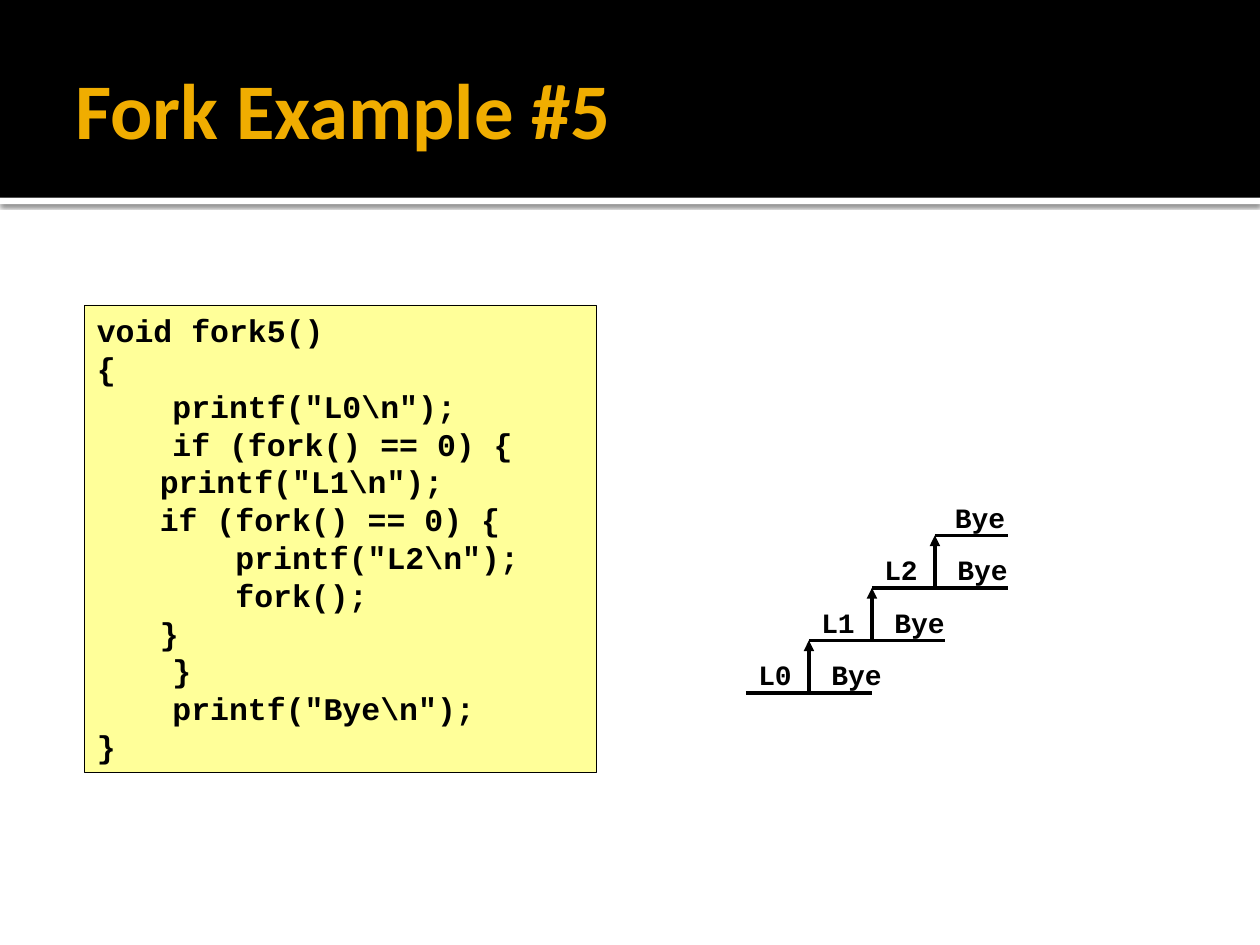
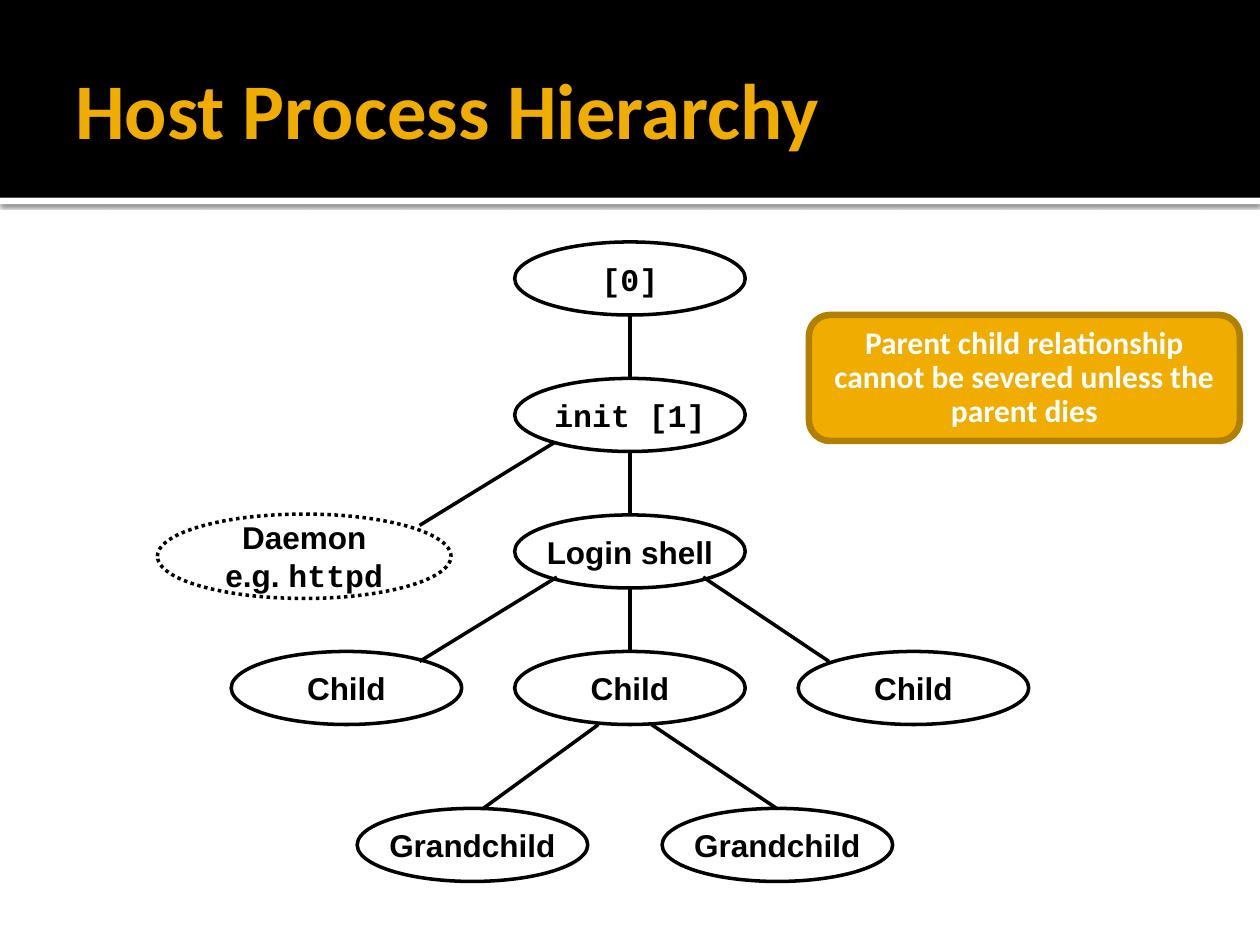
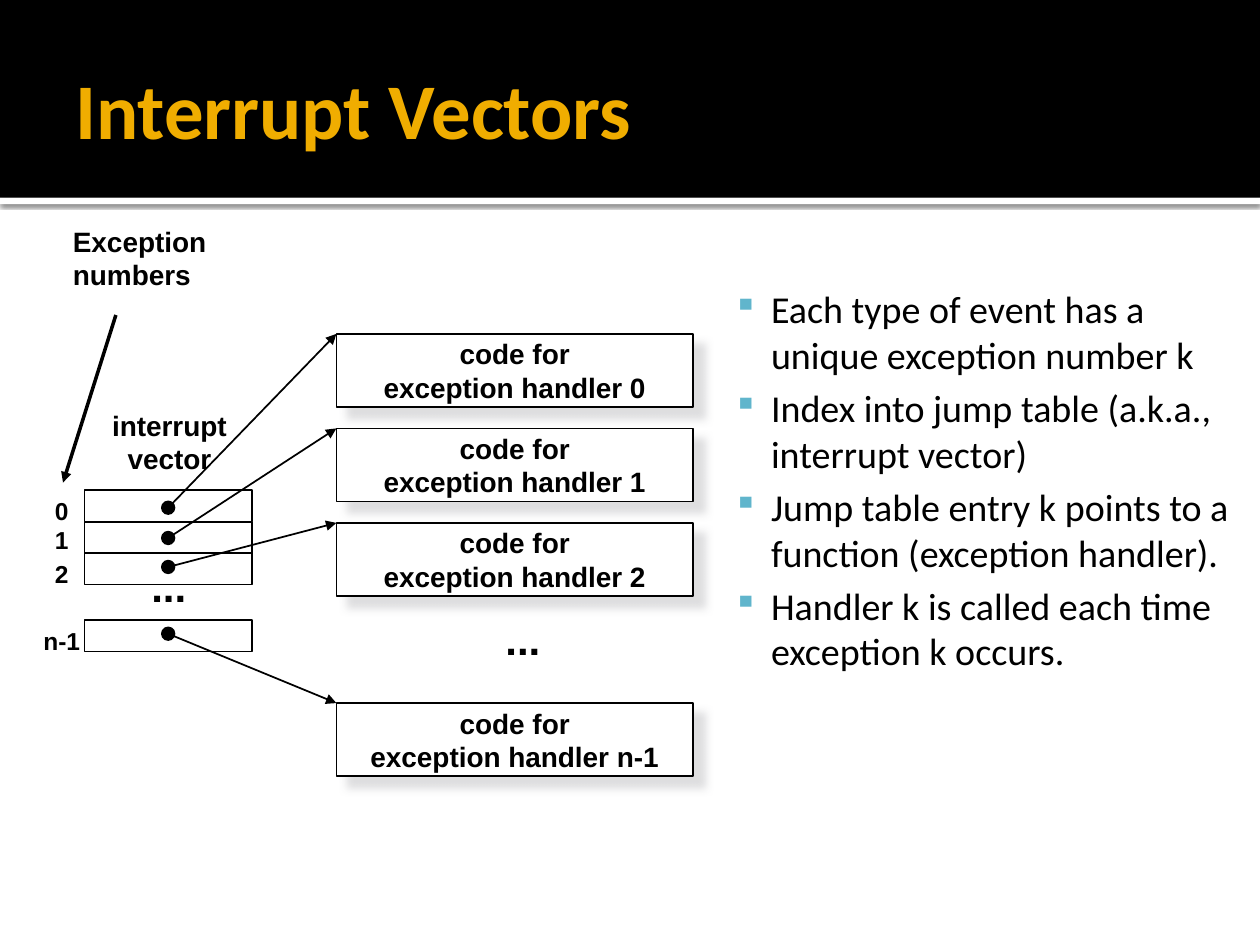
"""Build three operating-systems slides: forking, process hierarchy and interrupt vectors."""
from dataclasses import dataclass

from lxml import etree
from pptx import Presentation
from pptx import util as u
from pptx.dml.color import RGBColor
from pptx.enum import dml, shapes, text
from pptx.oxml.ns import qn


@dataclass(frozen=True)
class Theme:
    sans: str = "Arial"
    mono: str = "Courier New"
    body: str = "Calibri"
    black: str = "000000"
    white: str = "FFFFFF"
    gold: str = "F0AD00"
    dark_gold: str = "B28000"
    code_fill: str = "FFFF99"
    bullet: str = "60B5CC"
    soft_shadow: str = "D4D4D6"
    title_size: float = 45
    body_size: float = 21.7
    dots_size: float = 24
    node_size: float = 18
    label_size: float = 16
    index_size: float = 14


T = Theme()
W, H = 10, 7.5
CENTER, LEFT = text.PP_ALIGN.CENTER, text.PP_ALIGN.LEFT
RECT, OVAL = shapes.MSO_SHAPE.RECTANGLE, shapes.MSO_SHAPE.OVAL
ROUND = shapes.MSO_SHAPE.ROUNDED_RECTANGLE

FORK_CODE = r"""void fork5()
{
    printf("L0\n");
    if (fork() == 0) {
<TAB>printf("L1\n");
<TAB>if (fork() == 0) {
<TAB>    printf("L2\n");
<TAB>    fork();
<TAB>}
    }
    printf("Bye\n");
}""".replace("<TAB>", "\t").split("\n")
FORK_STEPS = [("L0", 0.5), ("L1", 0.58), ("L2", 0.58)]

BACK_NODES = [("Login shell", T.sans, 5, 2), ("Child", T.sans, 7.25, 3),
              ("Child", T.sans, 5, 3), ("Child", T.sans, 2.75, 3),
              ("Grandchild", T.sans, 6.17, 4.15), ("Grandchild", T.sans, 3.75, 4.15),
              ("[0]", T.mono, 5, 0)]
FRONT_NODES = [("init [1]", T.mono, 5, 1)]
SLANTED_LINKS = [(4.42, 4.58, 3.33, 5.25), (5.58, 4.58, 6.58, 5.25),
                 (5.17, 5.75, 6.17, 6.42), (4.75, 5.75, 3.83, 6.42),
                 (4.42, 3.5, 3.33, 4.17)]
PARENT_NOTE = "Parent child relationship cannot be severed unless the parent dies"

VECTOR_ENTRIES = [("0", 3.89, 4.05, 4.03, 2.65), ("1", 4.14, 4.28, 4.27, 3.4),
                  ("2", 4.39, 4.55, 4.5, 4.15), ("n-1", 4.92, 5.08, 5.03, 5.58)]
VECTOR_POINTS = ["Each type of event has a unique exception number k",
                 "Index into jump table (a.k.a., interrupt vector)",
                 "Jump table entry k points to a function (exception handler).",
                 "Handler k is called each time exception k occurs."]


def inches(*values):
    return [u.Inches(v) for v in values]


def style_run(r, font, size, color, bold):
    r.font.name, r.font.size, r.font.bold = font, u.Pt(size), bold
    r.font.color.rgb = RGBColor.from_string(color)


def write(sp, lines, font, size, color=T.black, bold=True, align=CENTER, wrap=False,
          anchor=text.MSO_ANCHOR.MIDDLE):
    tf = sp.text_frame
    tf.word_wrap, tf.vertical_anchor = wrap, anchor
    for i, line in enumerate(lines):
        p = tf.paragraphs[0] if i == 0 else tf.add_paragraph()
        p.text, p.alignment = line, align
        for r in p.runs:
            style_run(r, font, size, color, bold)
    return tf


def shape(s, kind, box, fill=T.white, line=T.black, width=1, shadow=None):
    sp = s.shapes.add_shape(kind, *inches(*box))
    sp.fill.solid()
    sp.fill.fore_color.rgb = RGBColor.from_string(fill)
    if line:
        sp.line.color.rgb = RGBColor.from_string(line)
        sp.line.width = u.Pt(width)
    else:
        sp.line.fill.background()
    sp.shadow.inherit = False
    if shadow:
        color, alpha, blur, dist, angle = shadow
        effects = sp._element.spPr.find(qn("a:effectLst"))
        outer = etree.SubElement(effects, qn("a:outerShdw"), blurRad=str(u.Pt(blur)),
                                 dist=str(u.Pt(dist)), dir=str(angle * 60000),
                                 algn="tl", rotWithShape="0")
        tint = etree.SubElement(outer, qn("a:srgbClr"), val=color)
        etree.SubElement(tint, qn("a:alpha"), val=str(alpha * 1000))
    return sp


def line(s, x1, y1, x2, y2, width=2, arrow=False):
    cx = s.shapes.add_connector(shapes.MSO_CONNECTOR.STRAIGHT, *inches(x1, y1, x2, y2))
    cx.line.color.rgb = RGBColor.from_string(T.black)
    cx.line.width = u.Pt(width)
    sp_pr = cx._element.spPr
    if arrow:
        etree.SubElement(sp_pr.find(qn("a:ln")), qn("a:tailEnd"), type="triangle")
    etree.SubElement(sp_pr, qn("a:effectLst"))


def label(s, box, lines, font=T.sans, size=T.label_size, align=CENTER,
          anchor=text.MSO_ANCHOR.TOP):
    sp = s.shapes.add_textbox(*inches(*box))
    write(sp, lines, font, size, align=align, anchor=anchor)
    sp.text_frame.auto_size = text.MSO_AUTO_SIZE.SHAPE_TO_FIT_TEXT


def new_slide(prs, title):
    s = prs.slides.add_slide(prs.slide_layouts[6])
    band = 1.57
    shape(s, RECT, (0, band, W, 0.05), line=None, shadow=(T.black, 60, 2.5, 0.8, 90))
    shape(s, RECT, (0, 0, W, band), fill=T.black, line=None)
    sp = s.shapes.add_textbox(*inches(0.5, 0.17, 9, 1.37))
    tf = write(sp, [title], T.body, T.title_size, T.gold, align=LEFT, wrap=True)
    tf.margin_right = u.Inches(0.05)
    return s


def fork_slide(prs):
    s = new_slide(prs, "Fork Example #5")
    sp = shape(s, RECT, (0.67, 2.42, 4.06, 3.71), fill=T.code_fill, width=0.25)
    write(sp, FORK_CODE, T.mono, T.node_size, align=LEFT, anchor=text.MSO_ANCHOR.TOP)
    x, y, step, rise, lift = 5.92, 5.5, 0.5, 1.25 / 3, 0.33
    for name, tail in FORK_STEPS:
        fork_x = x + step
        line(s, x, y, fork_x, y)
        line(s, fork_x, y, fork_x + tail, y)
        line(s, fork_x, y, fork_x, y - rise, arrow=True)
        label(s, (x, y - lift, 0.47, 0.37), [name], T.mono, align=LEFT)
        label(s, (fork_x + 0.08, y - lift, 0.6, 0.37), ["Bye"], T.mono, align=LEFT)
        x, y = fork_x, y - rise
    line(s, x, y, x + 0.58, y)
    label(s, (x + 0.06, y - lift, 0.6, 0.37), ["Bye"], T.mono, align=LEFT)


def hierarchy_slide(prs):
    s = new_slide(prs, "Host Process Hierarchy")
    top, pitch, node_w, node_h = 1.92, 3.25 / 3, 1.83, 0.58

    def add_nodes(nodes):
        for name, font, center, row in nodes:
            box = (center - node_w / 2, top + row * pitch, node_w, node_h)
            write(shape(s, OVAL, box, width=2), [name], font, T.node_size)

    add_nodes(BACK_NODES)
    for row in range(3):
        line(s, W / 2, top + row * pitch + node_h, W / 2, top + (row + 1) * pitch)
    for link in SLANTED_LINKS:
        line(s, *link)
    daemon = shape(s, OVAL, (1.25, 4.08, 2.33, 0.67), width=2)
    daemon.line.dash_style = dml.MSO_LINE.ROUND_DOT
    tf = write(daemon, ["Daemon", "e.g. "], T.sans, T.node_size)
    r = tf.paragraphs[1].add_run()
    r.text = "httpd"
    style_run(r, T.mono, T.node_size, T.black, True)
    add_nodes(FRONT_NODES)
    note = shape(s, ROUND, (6.42, 2.5, 3.42, 1), T.gold, T.dark_gold, 3.78)
    tf = write(note, [PARENT_NOTE], T.body, T.node_size, T.white, wrap=True)
    tf.paragraphs[0].line_spacing = 0.9


def add_bullets(s, box, points):
    sp = s.shapes.add_textbox(*inches(*box))
    tf = write(sp, points, T.body, T.body_size, bold=False, align=LEFT, wrap=True,
               anchor=text.MSO_ANCHOR.TOP)
    tf.margin_left, tf.margin_top = inches(0.06, 0.1)
    for i, p in enumerate(tf.paragraphs):
        if i:
            p.space_before = u.Pt(T.body_size * 0.2)
        p_pr = p._p.get_or_add_pPr()
        p_pr.set("marL", str(u.Inches(0.8)))
        p_pr.set("indent", str(u.Inches(-0.3)))
        color = etree.SubElement(p_pr, qn("a:buClr"))
        etree.SubElement(color, qn("a:srgbClr"), val=T.bullet)
        etree.SubElement(p_pr, qn("a:buSzPct"), val="90000")
        etree.SubElement(p_pr, qn("a:buChar"), char="▪")


def vector_slide(prs):
    s = new_slide(prs, "Interrupt Vectors")
    middle = text.MSO_ANCHOR.MIDDLE
    cell_x, cell_w, handler_x, dot = 0.67, 1.33, 2.67, 0.1
    dot_x = cell_x + cell_w / 2
    add_bullets(s, (5.26, 2.17, 4.74, 2.83), VECTOR_POINTS)
    label(s, (0.79, 3.19, 1.11, 0.63), ["interrupt", "vector"])
    for number, cell_y, number_y, dot_y, handler_y in VECTOR_ENTRIES:
        shape(s, RECT, (cell_x, cell_y, cell_w, 0.25))
        number_w = 0.31 if len(number) == 1 else 0.49
        label(s, (0.49 - number_w / 2, number_y - 0.16, number_w, 0.33), [number],
              size=T.index_size, anchor=middle)
        handler = shape(s, RECT, (handler_x, handler_y, 2.83, 0.58),
                        shadow=(T.soft_shadow, 75, 5, 8.5, 45))
        write(handler, ["code for", f"exception handler {number}"], T.sans, T.label_size)
    for _, _, _, dot_y, handler_y in VECTOR_ENTRIES:
        shape(s, OVAL, (dot_x - dot / 2, dot_y - dot / 2, dot, dot), fill=T.black)
        line(s, dot_x, dot_y, handler_x, handler_y, width=1, arrow=True)
    for x, y in [(1.1, 4.4), (3.91, 4.82)]:
        label(s, (x, y, 0.48, 0.5), ["..."], size=T.dots_size, anchor=middle)
    label(s, (0.48, 1.73, 1.32, 0.64), ["Exception", "numbers"], align=LEFT)
    line(s, 0.92, 2.5, 0.5, 3.83, arrow=True)


def main():
    prs = Presentation()
    prs.slide_width, prs.slide_height = inches(W, H)
    fork_slide(prs)
    hierarchy_slide(prs)
    vector_slide(prs)
    prs.save("out.pptx")


if __name__ == "__main__":
    main()
